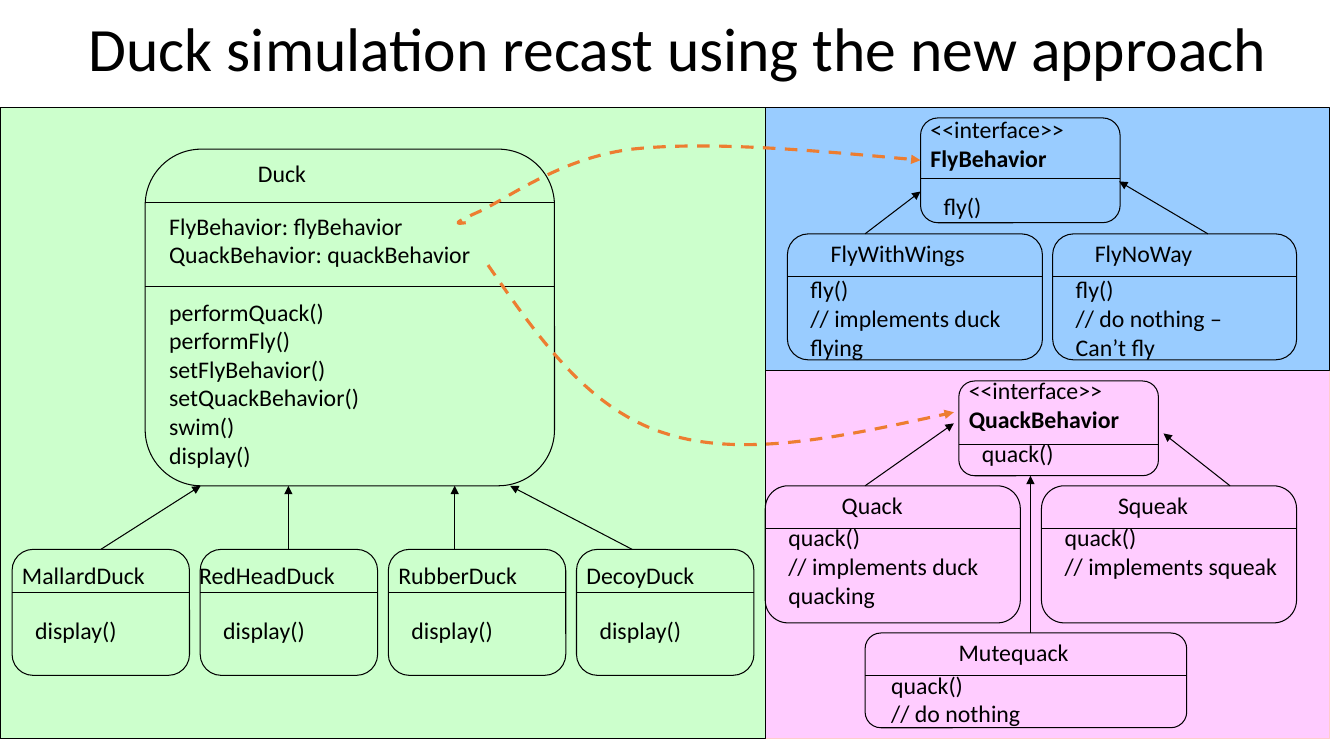
from lxml import etree
from pptx import Presentation
from pptx.dml.color import RGBColor
from pptx.enum.dml import MSO_LINE
from pptx.enum.shapes import MSO_CONNECTOR as Connector, MSO_SHAPE as Shape
from pptx.enum.text import MSO_ANCHOR as Anchor, PP_ALIGN as Align
from pptx.oxml.ns import qn
from pptx.util import Inches, Pt

BLACK, ORANGE = "000000", "ED7D31"
GREEN, BLUE, PINK, ROSE = "CCFFCC", "99CCFF", "FFCCFF", "FFCCCC"


def rgb(code):
    return RGBColor.from_string(code)


def write(frame, text, size=17, bold_line=None, gap_line=None, gap=20.5, spacing=None):
    """Fill a frame, one paragraph for each line of the text."""
    for number, line in enumerate(text.split("\n")):
        paragraph = frame.paragraphs[0] if number == 0 else frame.add_paragraph()
        paragraph.alignment = Align.LEFT
        if spacing:
            paragraph.line_spacing = spacing
        if number == gap_line:
            paragraph.space_before = Pt(gap)
        run = paragraph.add_run()
        run.text = line
        run.font.name = "Calibri"
        run.font.size = Pt(size)
        run.font.bold = number == bold_line
        run.font.color.rgb = rgb(BLACK)


class ClassDiagram:
    def __init__(self, slide, line_width=0.75):
        self.slide = slide
        self.shapes = slide.shapes
        self.line_width = line_width

    def title(self, text):
        heading = self.shapes.title
        heading.left, heading.top = Inches(0.78), Inches(0.03)
        heading.width, heading.height = Inches(12), Inches(0.96)
        heading.text_frame.vertical_anchor = Anchor.MIDDLE
        write(heading.text_frame, text, size=44, spacing=0.9)

    def outline(self, kind, left, top, width, height, fill=None, line=BLACK):
        box = self.shapes.add_shape(
            kind, Inches(left), Inches(top), Inches(width), Inches(height))
        box.shadow.inherit = False
        if fill:
            box.fill.solid()
            box.fill.fore_color.rgb = rgb(fill)
        else:
            box.fill.background()
        box.line.color.rgb = rgb(line)
        box.line.width = Pt(self.line_width)

    def label(self, left, top, width, text, **text_format):
        height = 0.12 + 0.32 * len(text.split("\n"))
        box = self.shapes.add_textbox(
            Inches(left), Inches(top), Inches(width), Inches(height))
        box.text_frame.word_wrap = True
        write(box.text_frame, text, **text_format)

    def line(self, start, end, arrow=False):
        link = self.shapes.add_connector(
            Connector.STRAIGHT, *(Inches(value) for value in (*start, *end)))
        link.line.color.rgb = rgb(BLACK)
        link.line.width = Pt(self.line_width)
        etree.SubElement(link._element.spPr, qn("a:effectLst"))
        if arrow:
            self.arrowhead(link)

    def arrowhead(self, link):
        etree.SubElement(link.line._get_or_add_ln(), qn("a:tailEnd"), type="triangle")

    def class_box(self, box, divider, name, name_at, members, members_at, bold_line=None):
        """Rounded box; name and members are placed by (left, top, width)."""
        left, _, width, _ = box
        self.outline(Shape.ROUNDED_RECTANGLE, *box)
        self.label(*name_at, name, bold_line=bold_line)
        self.line((left, divider), (left + width, divider))
        self.label(*members_at, members)

    def dashed_curve(self, points):
        """Start point, then three points for each Bézier segment."""
        start, *rest = [(Inches(x), Inches(y)) for x, y in points]
        builder = self.shapes.build_freeform(*start)
        builder.add_line_segments(rest, close=False)
        curve = builder.convert_to_shape()
        # Join each three straight segments into one cubic segment
        segments = list(curve._element.iter(qn("a:lnTo")))
        for first in range(0, len(segments), 3):
            cubic = etree.Element(qn("a:cubicBezTo"))
            segments[first].addprevious(cubic)
            for segment in segments[first:first + 3]:
                cubic.append(segment[0])
                segment.getparent().remove(segment)
        curve.shadow.inherit = False
        curve.fill.background()
        curve.line.color.rgb = rgb(ORANGE)
        curve.line.width = Pt(2.25)
        curve.line.dash_style = MSO_LINE.DASH
        self.arrowhead(curve)


def main():
    deck = Presentation()
    deck.slide_width, deck.slide_height = Inches(13.33), Inches(7.5)
    diagram = ClassDiagram(deck.slides.add_slide(deck.slide_layouts[5]))
    diagram.title("Duck simulation recast using the new approach")

    # Background panels
    diagram.outline(Shape.RECTANGLE, 7.59, 3.68, 5.6, 3.65, fill=PINK, line=ROSE)
    diagram.outline(Shape.RECTANGLE, 7.59, 1.07, 5.6, 2.61, fill=BLUE)
    diagram.outline(Shape.RECTANGLE, 0, 1.07, 7.59, 6.26, fill=GREEN)

    # Duck subclasses
    subclasses = [("MallardDuck", 0), ("RedHeadDuck", -0.11),
                  ("RubberDuck", 0), ("DecoyDuck", 0)]
    for column, (name, shift) in enumerate(subclasses):
        left = 0.12 + 1.866 * column
        diagram.class_box((left, 5.45, 1.76, 1.25), 5.88,
                          name, (left + shift, 5.51, 1.64),
                          "display()", (left + 0.13, 6.06, 1.06))

    # Duck base class
    diagram.outline(Shape.ROUNDED_RECTANGLE, 1.44, 1.48, 4.06, 3.34)
    diagram.label(2.46, 1.53, 0.72, "Duck")
    diagram.label(1.58, 2.05, 3.37,
                  "FlyBehavior: flyBehavior\nQuackBehavior: quackBehavior\n"
                  "performQuack()\nperformFly()\nsetFlyBehavior()\n"
                  "setQuackBehavior()\nswim()\ndisplay()", gap_line=2)
    for divider in (2.01, 2.84):
        diagram.line((1.44, divider), (5.5, divider))

    # Fly behaviors
    diagram.class_box((9.13, 1.17, 1.98, 1.04), 1.77,
                      "<<interface>>\nFlyBehavior", (9.13, 1.09, 1.62),
                      "fly()", (9.26, 1.85, 0.7), bold_line=1)
    diagram.class_box((7.81, 2.32, 2.53, 1.25), 2.74,
                      "FlyWithWings", (8.14, 2.32, 1.62),
                      "fly()\n// implements duck\nflying", (7.94, 2.68, 2.21))
    diagram.class_box((10.44, 2.32, 2.42, 1.25), 2.74,
                      "FlyNoWay", (10.76, 2.32, 1.23),
                      "fly()\n// do nothing –\nCan’t fly", (10.57, 2.68, 1.75))

    # Quack behaviors
    diagram.class_box((9.51, 3.78, 1.98, 0.94), 4.41,
                      "<<interface>>\nQuackBehavior", (9.51, 3.68, 1.79),
                      "quack()", (9.64, 4.3, 0.96), bold_line=1)
    for left, name, members in [(7.59, "Quack", "quack()\n// implements duck\nquacking"),
                                (10.33, "Squeak", "quack()\n// implements squeak")]:
        diagram.class_box((left, 4.82, 2.53, 1.36), 5.24,
                          name, (left + 0.66, 4.82, 0.95),
                          members, (left + 0.13, 5.14, 2.4))
    diagram.class_box((8.58, 6.28, 3.19, 0.94), 6.7,
                      "Mutequack", (9.41, 6.28, 1.36),
                      "quack()\n// do nothing", (8.74, 6.6, 3.02))

    # Inheritance arrows
    inheritance = [
        ((1, 5.45), (1.99, 4.82)), ((2.86, 5.45), (2.86, 4.82)),
        ((4.51, 5.45), (4.51, 4.82)), ((6.27, 5.45), (5.06, 4.82)),
        ((8.58, 2.32), (9.13, 1.9)), ((11.98, 2.32), (11.1, 1.8)),
        ((8.58, 4.82), (9.46, 4.2)), ((12.2, 4.82), (11.54, 4.3)),
        ((10.22, 6.28), (10.22, 4.72)),
    ]
    for child, parent in inheritance:
        diagram.line(child, parent, arrow=True)

    # Links from the Duck fields to the interfaces
    diagram.dashed_curve([(4.62, 2.21), (4.54, 2.22), (4.46, 2.23), (4.73, 2.11),
                          (5.01, 1.99), (5.54, 1.57), (6.27, 1.48),
                          (7, 1.4), (8.06, 1.49), (9.13, 1.59)])
    diagram.dashed_curve([(4.84, 2.63), (5.34, 3.35), (5.83, 4.06), (6.6, 4.3),
                          (7.37, 4.55), (8.41, 4.32), (9.46, 4.09)])

    deck.save("out.pptx")


if __name__ == "__main__":
    main()
